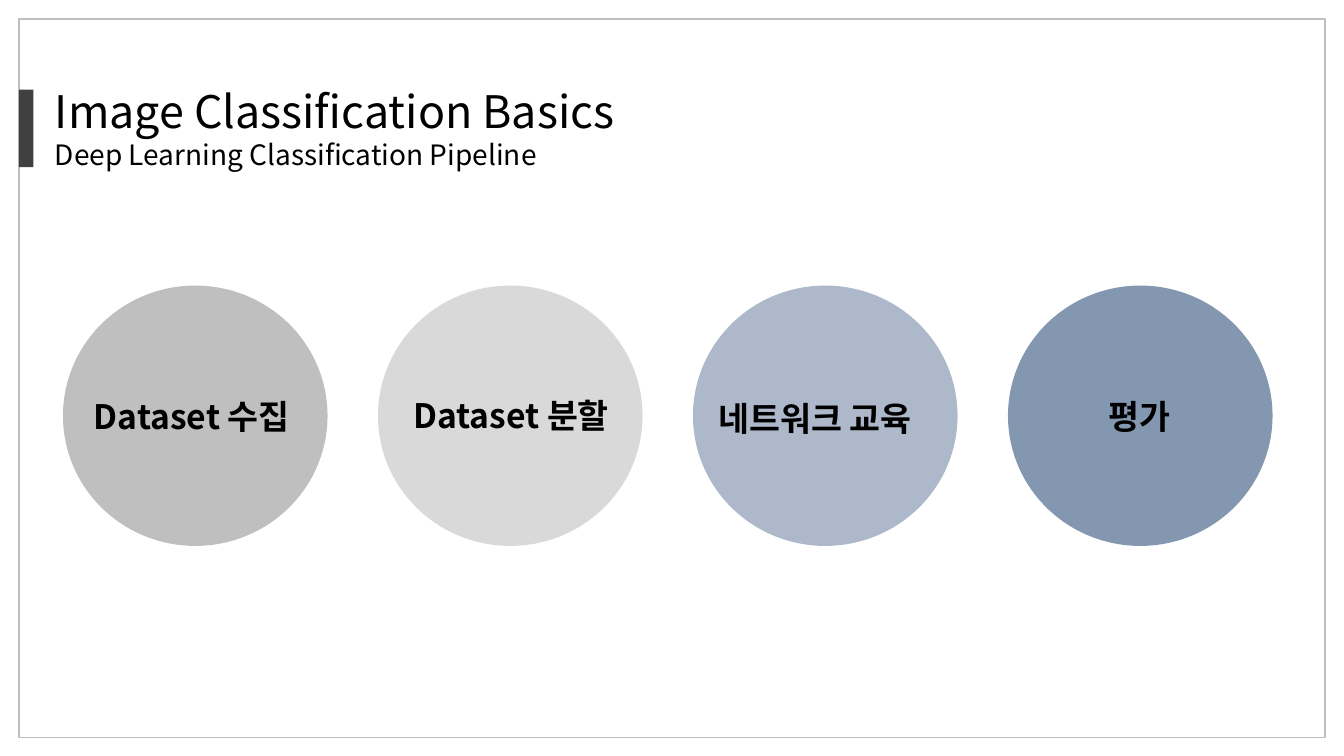
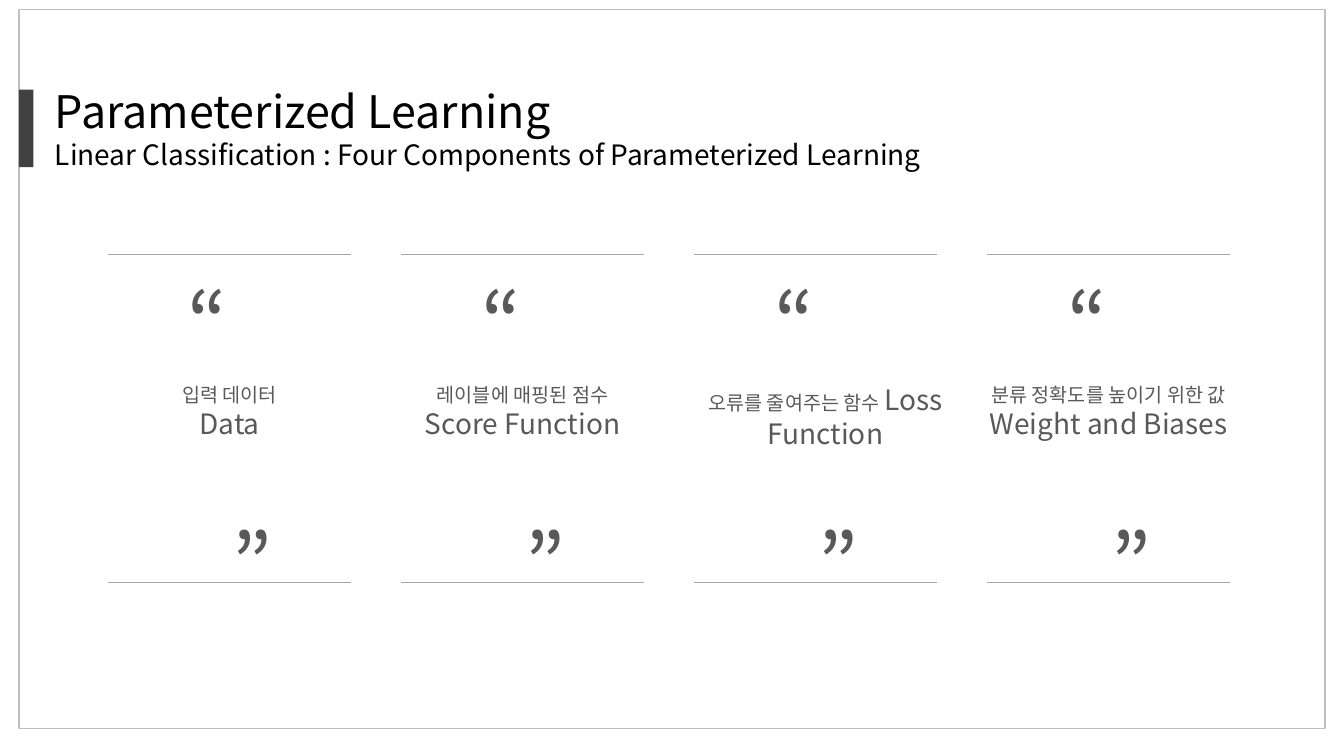
from dataclasses import dataclass

from lxml import etree
from pptx import Presentation
from pptx import util as u
from pptx.dml.color import RGBColor
from pptx.enum import shapes, text
from pptx.oxml import ns

FONT = "Noto Sans CJK KR"
BLACK = RGBColor(0x00, 0x00, 0x00)
DARK_GRAY = RGBColor(0x40, 0x40, 0x40)
TEXT_GRAY = RGBColor(0x59, 0x59, 0x59)
RULE_GRAY = RGBColor(0xA6, 0xA6, 0xA6)
SILVER = RGBColor(0xBF, 0xBF, 0xBF)
LIGHT_GRAY = RGBColor(0xD9, 0xD9, 0xD9)
PALE_BLUE = RGBColor(0xAD, 0xB9, 0xCA)
STEEL_BLUE = RGBColor(0x84, 0x97, 0xB0)

CIRCLE_LEFT, CIRCLE_TOP, CIRCLE_PITCH = 45.5, 204.5, 225
CIRCLE_WIDTH, CIRCLE_HEIGHT = 188, 185

COLUMN_LEFT, COLUMN_PITCH, COLUMN_WIDTH = 77, 209.3, 174
RULE_TOPS = (182, 416)
CAPTION_TOP, CAPTION_WIDTH, CAPTION_HEIGHT = 270, 204, 48
QUOTE_WIDTH, QUOTE_HEIGHT = 100, 80


@dataclass(frozen=True)
class Box:
    left: float
    top: float
    width: float
    height: float

    def lengths(self) -> tuple:
        return tuple(u.Pt(v) for v in (self.left, self.top, self.width, self.height))


@dataclass(frozen=True)
class Style:
    size: float
    color: RGBColor = BLACK
    bold: bool = False
    outline_alpha: int = 0  # percent; 0 means no outline


@dataclass(frozen=True)
class Step:
    label: str
    color: RGBColor
    label_left: float
    label_top: float
    label_width: float


@dataclass(frozen=True)
class Component:
    lines: list  # paragraphs, each a list of (text, style) runs
    shift: float = 0


@dataclass(frozen=True)
class Quote:
    mark: str
    center: float  # measured from the left of the column
    top: float


TITLE = Style(32, outline_alpha=50)
SUBTITLE = Style(20, outline_alpha=50)
STEP_LABEL = Style(24, bold=True)
QUOTE_MARK = Style(60, TEXT_GRAY, outline_alpha=30)
KOREAN = Style(14, TEXT_GRAY, outline_alpha=30)
ENGLISH = Style(20, TEXT_GRAY, outline_alpha=30)

STEPS = (
    Step("Dataset 수집", SILVER, 60, 279.5, 164),
    Step("Dataset 분할", LIGHT_GRAY, 288, 278.5, 164),
    Step("네트워크 교육", PALE_BLUE, 506, 281, 181),
    Step("평가", STEEL_BLUE, 785, 279.5, 71),
)
COMPONENTS = (
    Component([[("입력 데이터", KOREAN)], [("Data", ENGLISH)]]),
    Component([[("레이블에 매핑된 점수", KOREAN)], [("Score Function", ENGLISH)]]),
    Component([[("오류를 줄여주는 함수 ", KOREAN), ("Loss Function", ENGLISH)]], shift=7),
    Component([[("분류 정확도를 높이기 위한 값", KOREAN)], [("Weight and Biases", ENGLISH)]]),
)
QUOTES = (Quote("“", 71.5, 190), Quote("”", 103, 361.5))


def style_run(run, style: Style) -> None:
    values = {"size": u.Pt(style.size), "bold": style.bold, "name": FONT}
    for name, value in values.items():
        setattr(run.font, name, value)
    run.font.color.rgb = style.color
    properties = run.font._element
    etree.SubElement(properties, ns.qn("a:ea"), typeface=FONT)
    if style.outline_alpha:
        line = etree.Element(ns.qn("a:ln"), w=str(u.Pt(0.75)))
        fill = etree.SubElement(line, ns.qn("a:solidFill"))
        color = etree.SubElement(fill, ns.qn("a:srgbClr"), val=str(style.color))
        etree.SubElement(color, ns.qn("a:alpha"), val=str(style.outline_alpha * 1000))
        properties.insert(0, line)


def write(shape, box: Box, lines: list, alignment=text.PP_ALIGN.LEFT) -> None:
    """Place a text shape and fill it with paragraphs of styled runs."""
    for name, value in zip(("left", "top", "width", "height"), box.lengths()):
        setattr(shape, name, value)
    frame = shape.text_frame
    frame_format = {
        "word_wrap": True,
        "auto_size": text.MSO_AUTO_SIZE.SHAPE_TO_FIT_TEXT,
        "vertical_anchor": text.MSO_ANCHOR.TOP,
    }
    for name, value in frame_format.items():
        setattr(frame, name, value)
    for index, runs in enumerate(lines):
        paragraph = frame.add_paragraph() if index else frame.paragraphs[0]
        paragraph.alignment = alignment
        for words, style in runs:
            run = paragraph.add_run()
            run.text = words
            style_run(run, style)


def add_text(slide, box: Box, lines: list, alignment=text.PP_ALIGN.LEFT) -> None:
    write(slide.shapes.add_textbox(*box.lengths()), box, lines, alignment)


def add_outline(slide, kind, box: Box, fill=None, line=None) -> None:
    """Add a preset shape; a missing fill or line colour leaves that part empty."""
    shape = slide.shapes.add_shape(kind, *box.lengths())
    shape.shadow.inherit = False
    if fill is None:
        shape.fill.background()
    else:
        shape.fill.solid()
        shape.fill.fore_color.rgb = fill
    if line is None:
        shape.line.fill.background()
    else:
        shape.line.color.rgb = line
        shape.line.width = u.Pt(1)


def add_rule(slide, left: float, top: float) -> None:
    rule = slide.shapes.add_connector(
        shapes.MSO_CONNECTOR.STRAIGHT,
        u.Pt(left), u.Pt(top), u.Pt(left + COLUMN_WIDTH), u.Pt(top),
    )
    rule.line.color.rgb = RULE_GRAY
    rule.line.width = u.Pt(0.75)
    etree.SubElement(rule._element.spPr, ns.qn("a:effectLst"))


def add_titled_slide(presentation, title: str, subtitle: str, frame_top: float):
    slide = presentation.slides.add_slide(presentation.slide_layouts[5])
    rectangle = shapes.MSO_SHAPE.RECTANGLE
    add_outline(slide, rectangle, Box(13.5, frame_top, 933, 513.5), line=SILVER)
    add_outline(slide, rectangle, Box(13.5, 64, 10.5, 55.5), fill=DARK_GRAY)
    write(slide.shapes.title, Box(32, 56, 643, 70.5),
          [[(title, TITLE)], [(subtitle, SUBTITLE)]])
    return slide


def build_pipeline(presentation) -> None:
    slide = add_titled_slide(presentation, "Image Classification Basics",
                             "Deep Learning Classification Pipeline", 13.5)
    for index, step in enumerate(STEPS):
        circle = Box(CIRCLE_LEFT + index * CIRCLE_PITCH, CIRCLE_TOP,
                     CIRCLE_WIDTH, CIRCLE_HEIGHT)
        add_outline(slide, shapes.MSO_SHAPE.OVAL, circle, step.color, step.color)
        add_text(slide, Box(step.label_left, step.label_top, step.label_width, 36),
                 [[(step.label, STEP_LABEL)]])


def build_components(presentation) -> None:
    slide = add_titled_slide(
        presentation, "Parameterized Learning",
        "Linear Classification : Four Components of Parameterized Learning", 7)
    center = text.PP_ALIGN.CENTER
    for index, component in enumerate(COMPONENTS):
        left = COLUMN_LEFT + index * COLUMN_PITCH
        for top in RULE_TOPS:
            add_rule(slide, left, top)
        for quote in QUOTES:
            box = Box(left + quote.center - QUOTE_WIDTH / 2, quote.top,
                      QUOTE_WIDTH, QUOTE_HEIGHT)
            add_text(slide, box, [[(quote.mark, QUOTE_MARK)]], center)
        caption_left = left + (COLUMN_WIDTH - CAPTION_WIDTH) / 2 + component.shift
        add_text(slide, Box(caption_left, CAPTION_TOP, CAPTION_WIDTH, CAPTION_HEIGHT),
                 component.lines, center)


def main() -> None:
    presentation = Presentation()
    presentation.slide_width = u.Pt(960)
    presentation.slide_height = u.Pt(540)
    build_pipeline(presentation)
    build_components(presentation)
    presentation.save("out.pptx")


if __name__ == "__main__":
    main()
